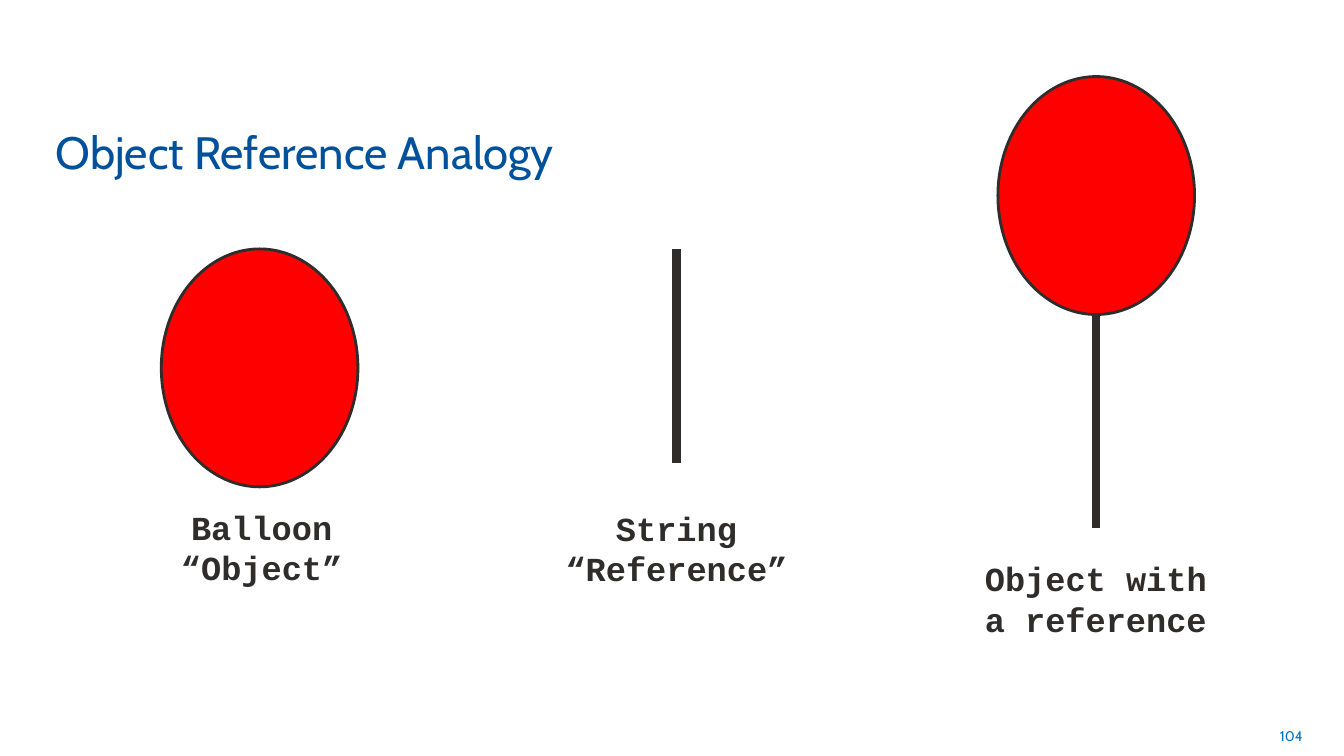
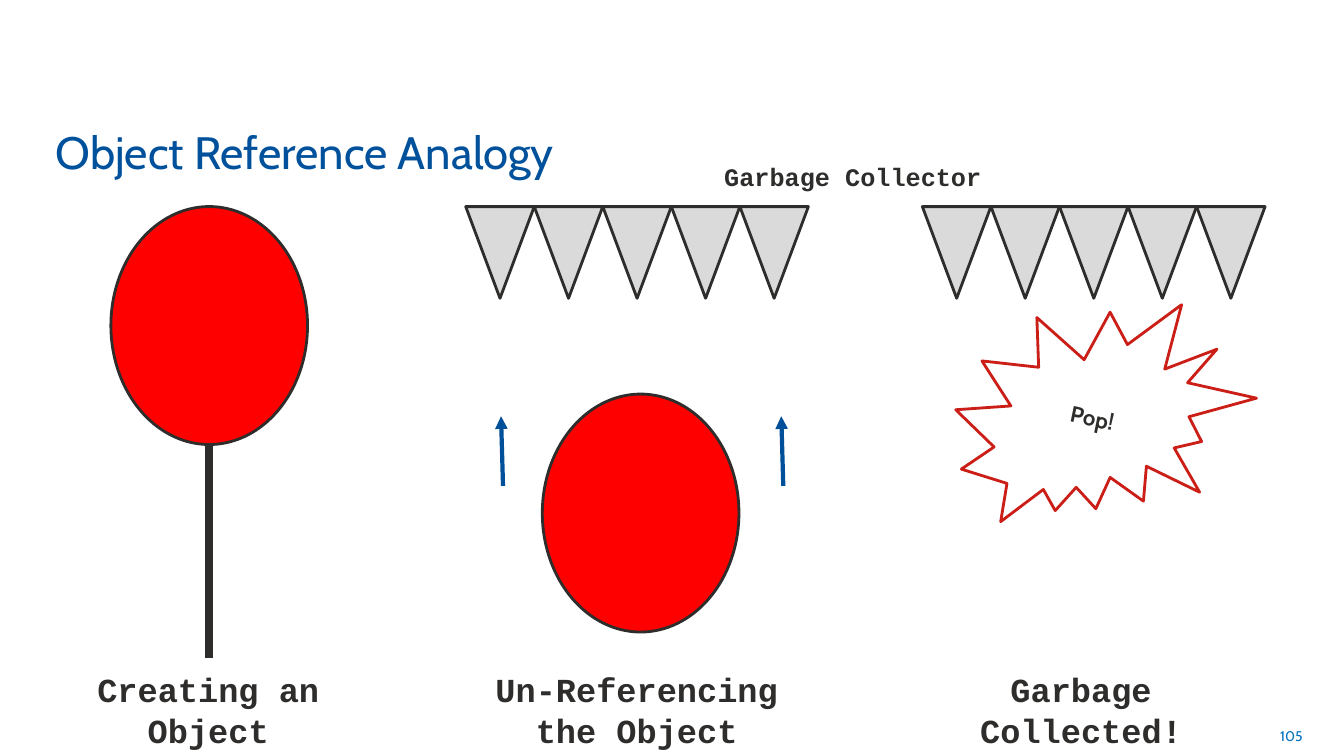
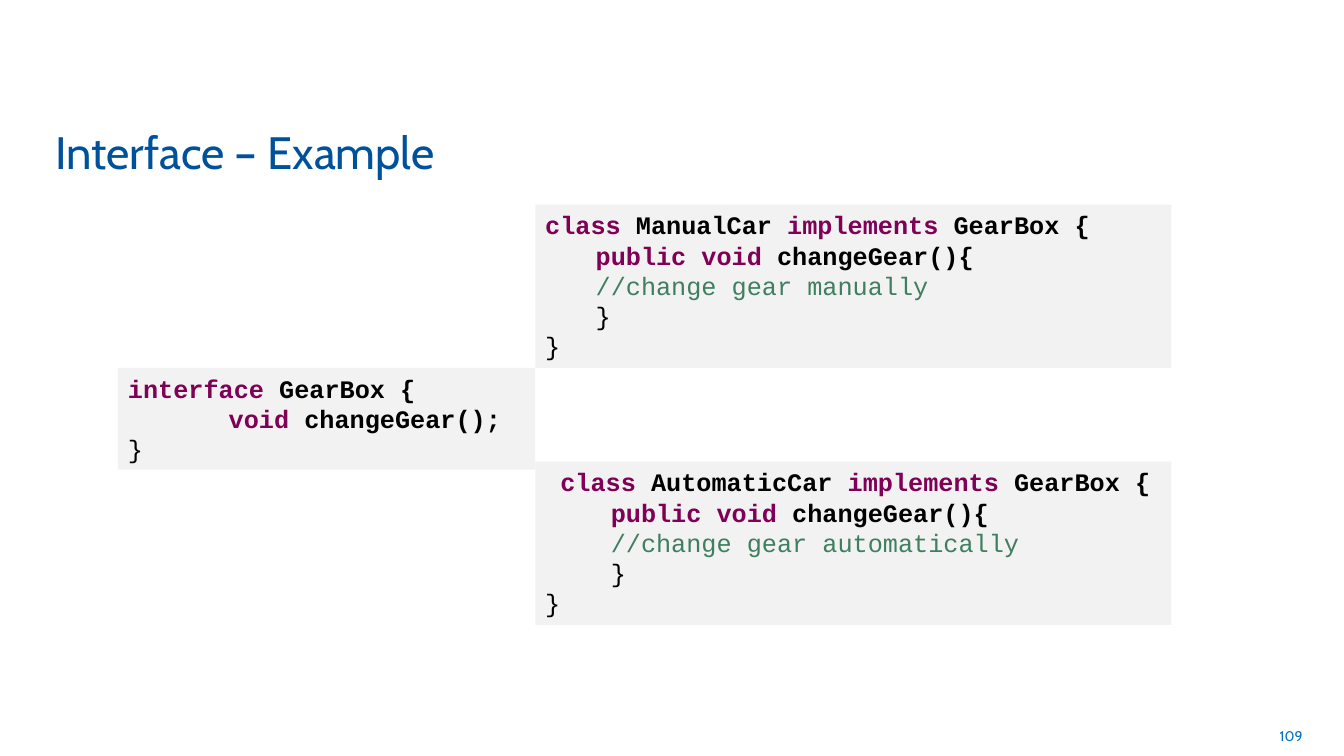
import pptx
import pptx.dml.color
import pptx.enum.shapes
import pptx.enum.text
import pptx.oxml.ns
import pptx.oxml.xmlchemy
import pptx.util
from collections import namedtuple

SHAPE = pptx.enum.shapes.MSO_SHAPE
ALIGN = pptx.enum.text.PP_ALIGN
ANCHOR = pptx.enum.text.MSO_ANCHOR
qn = pptx.oxml.ns.qn
new_element = pptx.oxml.xmlchemy.OxmlElement

# The slide is a grid of 100 columns by 100 rows
WIDTH, HEIGHT = pptx.util.Inches(13.333), pptx.util.Inches(7.5)
Box = namedtuple("Box", "left top width height")

# Shared look
INK, TITLE_BLUE, NUMBER_BLUE, ARROW_BLUE = "2E2D2C", "00519C", "0070C0", "004F99"
RED, GREY, POP_RED, CODE_GREY, WHITE = "FF0000", "DADADA", "CA1E17", "F2F2F2", "FFFFFF"
SANS, MONO = "Cabin", "Courier New"
TITLE_BOX = Box(3.38, 15.07, 74.85, 9.2)
NUMBER_BOX = Box(74.33, 94.67, 23.33, 5.33)
BALLOON_WIDTH, BALLOON_HEIGHT, STRING_LENGTH = 14.63, 31.47, 28.27
CAPTION_WIDTH, CAPTION_HEIGHT = 27.38, 12.13
TOOTH_COUNT = 5

# Code colours: (hex, bold)
KEYWORD, NAME, COMMENT, PLAIN = (
    ("7F0055", True), ("000000", True), ("3F7F5F", False), ("000000", False))


def rgb(hex_colour):
    return pptx.dml.color.RGBColor.from_string(hex_colour)


def col(share):
    return round(WIDTH * share / 100)


def row(share):
    return round(HEIGHT * share / 100)


def place(box):
    return col(box.left), row(box.top), col(box.width), row(box.height)


def style_font(font, size, face, colour, bold=False):
    font.size = pptx.util.Pt(size)
    font.name = face
    font.bold = bold
    font.color.rgb = rgb(colour)


def write(frame, lines, size, face, colour, bold=False,
          align=ALIGN.CENTER, anchor=ANCHOR.TOP):
    frame.word_wrap = True
    frame.auto_size = pptx.enum.text.MSO_AUTO_SIZE.NONE
    frame.vertical_anchor = anchor
    frame.text = "\n".join(lines)
    for paragraph in frame.paragraphs:
        paragraph.alignment = align
        for run in paragraph.runs:
            style_font(run.font, size, face, colour, bold)


def add_text(slide, box, lines, size, face, colour, **options):
    frame = slide.shapes.add_textbox(*place(box)).text_frame
    write(frame, lines, size, face, colour, **options)


def add_outlined(slide, kind, box, fill, line=None):
    shape = slide.shapes.add_shape(kind, *place(box))
    shape.shadow.inherit = False
    shape.fill.solid()
    shape.fill.fore_color.rgb = rgb(fill)
    if line:
        shape.line.color.rgb = rgb(line)
        shape.line.width = pptx.util.Pt(2)
    else:
        shape.line.fill.background()
    return shape


def add_line(slide, start, end, colour, weight, arrow=False):
    line = slide.shapes.add_connector(
        pptx.enum.shapes.MSO_CONNECTOR.STRAIGHT,
        col(start[0]), row(start[1]), col(end[0]), row(end[1]))
    line.line.color.rgb = rgb(colour)
    line.line.width = pptx.util.Pt(weight)
    properties = line._element.spPr
    if arrow:
        head = new_element("a:tailEnd")
        head.set("type", "triangle")
        properties.find(qn("a:ln")).append(head)
    properties.append(new_element("a:effectLst"))


def start_slide(deck, title, number):
    slide = deck.slides.add_slide(deck.slide_layouts.get_by_name("Title Only"))
    heading = slide.shapes.title
    heading.left, heading.top, heading.width, heading.height = place(TITLE_BOX)
    write(heading.text_frame, [title], 32.4, SANS, TITLE_BLUE,
          align=ALIGN.LEFT, anchor=ANCHOR.BOTTOM)
    add_text(slide, NUMBER_BOX, [number], 10, SANS, NUMBER_BLUE,
             align=ALIGN.RIGHT, anchor=ANCHOR.MIDDLE)
    return slide


def add_string(slide, x, top):
    add_line(slide, (x, top), (x, top + STRING_LENGTH), INK, 6)


def add_balloon(slide, left, top, with_string=False):
    box = Box(left, top, BALLOON_WIDTH, BALLOON_HEIGHT)
    add_outlined(slide, SHAPE.OVAL, box, RED, INK)
    if with_string:
        add_string(slide, left + BALLOON_WIDTH / 2, top + BALLOON_HEIGHT)


def add_caption(slide, left, top, *lines, width=CAPTION_WIDTH):
    add_text(slide, Box(left, top, width, CAPTION_HEIGHT), lines, 24, MONO, INK, bold=True)


def add_teeth(slide, box):
    tooth_width = box.width / TOOTH_COUNT
    for index in range(TOOTH_COUNT):
        tooth_box = box._replace(left=box.left + index * tooth_width, width=tooth_width)
        tooth = add_outlined(slide, SHAPE.ISOSCELES_TRIANGLE, tooth_box, GREY, INK)
        tooth.rotation = 180


def add_code(slide, box, lines):
    """Each line is an indent in inches, then (text, colour and weight) pieces."""
    panel = add_outlined(slide, SHAPE.RECTANGLE, box, CODE_GREY)
    frame = panel.text_frame
    frame.word_wrap = True
    frame.vertical_anchor = ANCHOR.TOP
    for index, (indent, *pieces) in enumerate(lines):
        paragraph = frame.add_paragraph() if index else frame.paragraphs[0]
        paragraph.alignment = ALIGN.LEFT
        margin = pptx.util.Inches(indent)
        paragraph._p.get_or_add_pPr().set("marL", str(margin))
        for text, (colour, bold) in pieces:
            run = paragraph.add_run()
            run.text = text
            style_font(run.font, 18, MONO, colour, bold)


def car_class(name, comment, shift=0):
    body = shift + 0.5
    return [
        (shift, ("class ", KEYWORD), (name, NAME),
         (" implements ", KEYWORD), ("GearBox {", NAME)),
        (body, ("public void ", KEYWORD), ("changeGear(){", NAME)),
        (body, (comment, COMMENT)),
        (body, ("}", PLAIN)),
        (0, ("}", PLAIN)),
    ]


def build_analogy(deck):
    slide = start_slide(deck, "Object Reference Analogy", "104")
    # Balloon, string, and the two together
    add_balloon(slide, 12, 32.93)
    add_caption(slide, 5.78, 66.4, "Balloon", "“Object”")
    add_string(slide, 50.33, 32.93)
    add_caption(slide, 37.43, 66.53, "String", "“Reference”", width=25.8)
    add_balloon(slide, 74.25, 10.13, with_string=True)
    add_caption(slide, 71.7, 73.2, "Object with a reference", width=19.65)


def build_collection(deck):
    slide = start_slide(deck, "Object Reference Analogy", "105")
    # Held balloon and released balloon
    add_balloon(slide, 8.25, 27.33, with_string=True)
    add_balloon(slide, 40.35, 52.13)
    for x in (37.43, 58.28):
        add_line(slide, (x, 64.27), (x - 0.15, 55.07), ARROW_BLUE, 3, arrow=True)
    # Garbage collector
    for left in (34.65, 68.63):
        add_teeth(slide, Box(left, 27.33, 25.5, 12.13))
    add_text(slide, Box(53.1, 20.67, 20.7, 5.6), ["Garbage Collector"],
             18, MONO, INK, bold=True)
    # Burst
    burst = add_outlined(slide, SHAPE.EXPLOSION2, Box(71.25, 38.53, 21.75, 32.93),
                         WHITE, POP_RED)
    burst.rotation = 11.6
    write(burst.text_frame, ["Pop!"], 16, SANS, INK, bold=True, anchor=ANCHOR.MIDDLE)
    # Captions
    for left, caption in ((1.8, "Creating an Object"),
                          (33.68, "Un-Referencing the Object"),
                          (66.75, "Garbage Collected!")):
        add_caption(slide, left, 87.87, caption)


def build_interface(deck):
    slide = start_slide(deck, "Interface – Example", "109")
    # Interface
    add_code(slide, Box(8.78, 48.67, 31.05, 13.47), [
        (0, ("interface ", KEYWORD), ("GearBox {", NAME)),
        (1, ("void ", KEYWORD), ("changeGear();", NAME)),
        (0, ("}", PLAIN)),
    ])
    # Implementing classes
    class_box = Box(39.83, 27.07, 47.33, 21.6)
    add_code(slide, class_box, car_class("ManualCar", "//change gear manually"))
    add_code(slide, class_box._replace(top=61.07),
             car_class("AutomaticCar", "//change gear automatically", shift=0.15))


def main():
    deck = pptx.Presentation()
    deck.slide_width, deck.slide_height = WIDTH, HEIGHT
    build_analogy(deck)
    build_collection(deck)
    build_interface(deck)
    deck.save("out.pptx")


if __name__ == "__main__":
    main()
